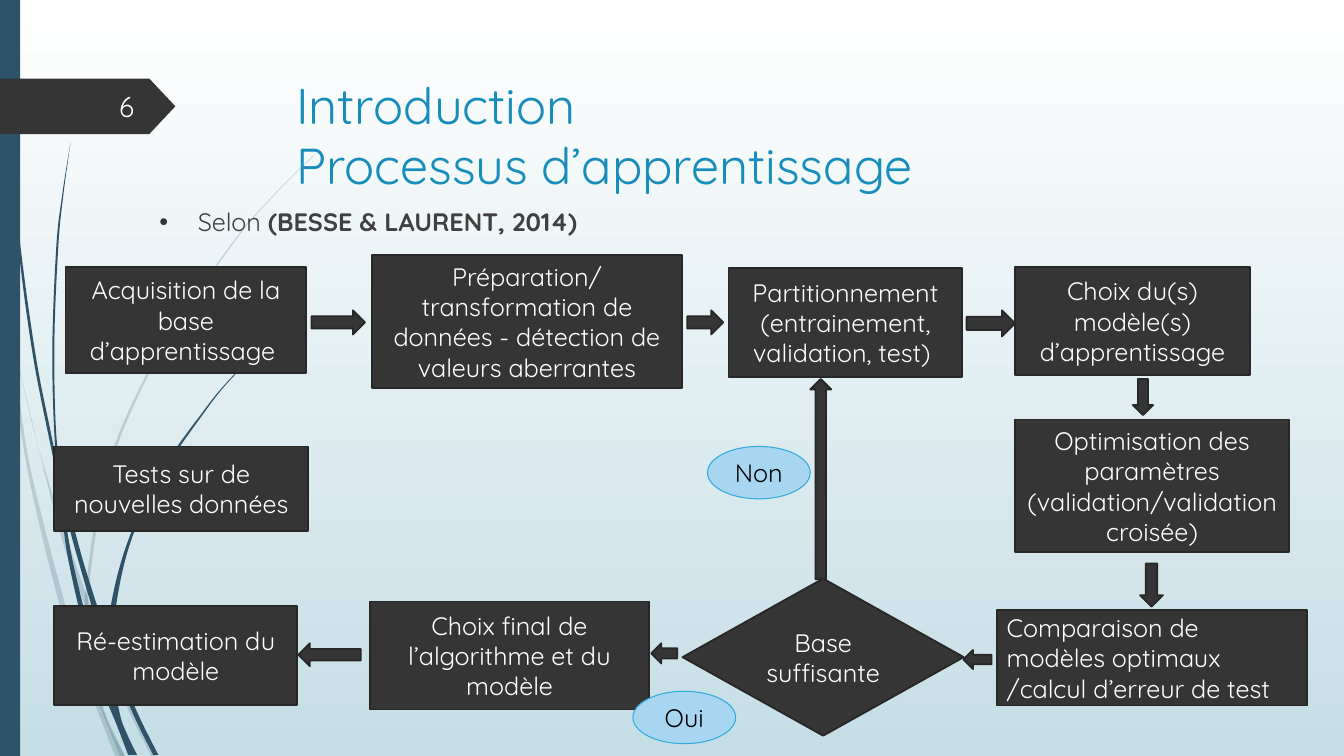
from dataclasses import dataclass

from lxml import etree
from pptx import Presentation
from pptx import util as u
from pptx.dml.color import RGBColor
from pptx.enum import shapes, text
from pptx.oxml.ns import qn

FONT = "Quicksand"
WHITE = RGBColor(0xFF, 0xFF, 0xFF)
BLACK = RGBColor(0, 0, 0)
SKY = RGBColor(0xC5, 0xDE, 0xE5)
NAVY = RGBColor(0x2E, 0x53, 0x69)
CHARCOAL = RGBColor(0x35, 0x35, 0x35)
EDGE = RGBColor(0x27, 0x27, 0x27)
TITLE_BLUE = RGBColor(0x17, 0x8D, 0xBB)
BODY_GREY = RGBColor(0x40, 0x40, 0x40)
LIGHT_BLUE = RGBColor(0xA8, 0xD5, 0xF0)
RIM_BLUE = RGBColor(0x2F, 0xAC, 0xDC)
G = shapes.MSO_SHAPE
AL = text.PP_ALIGN
Point = tuple[float, float]


@dataclass
class Node:
    left: float
    top: float
    width: float
    height: float
    label: str = ""
    kind: shapes.MSO_SHAPE = G.RECTANGLE
    align: text.PP_ALIGN = AL.CENTER
    fill: RGBColor = CHARCOAL
    line: RGBColor | None = EDGE
    line_pt: float = 1.25
    color: RGBColor = WHITE


@dataclass
class Strand:
    left_edge: list[Point]
    right_edge: list[Point]
    opacity: int = 100


def answer(left: float, top: float, label: str) -> Node:
    return Node(left, top, 2.59, 1.32, label, G.OVAL, fill=LIGHT_BLUE,
                line=RIM_BLUE, line_pt=0.75, color=BLACK)


STRANDS = [
    Strand([(0, 7.59), (.25, 8.74), (.71, 11.94), (1.65, 15.77), (2.34, 17.6), (2.9, 19.05)],
           [(0, 7.16), (.23, 8.18), (.43, 9.55), (.79, 11.91), (1.78, 15.72), (2.36, 17.35),
            (3.15, 19.05)], 20),
    Strand([(.36, 8.76), (1.47, 13.26), (2.13, 15.21), (3.12, 17.63), (3.81, 19.05)],
           [(.36, 8.76), (.92, 11.1), (1.57, 13.21), (2.34, 15.42), (3.23, 17.58),
            (3.94, 19.05)], 20),
    Strand([(7.92, 3.89), (6.81, 5), (5.79, 6.2), (4.01, 8.84), (2.72, 11.71), (2.16, 14.83),
            (2.21, 16.41), (2.36, 17.35), (3.02, 19.05)],
           [(7.92, 3.91), (6.81, 5.03), (5.82, 6.22), (4.06, 8.86), (2.79, 11.73),
            (2.24, 14.83), (2.31, 16.41), (2.67, 18.06), (3.15, 19.05)], 20),
    Strand([(.08, 0), (.18, 2.79), (.43, 5.92), (.84, 9.02), (1.45, 12.12), (1.73, 14.15),
            (2.36, 16.74), (2.97, 18.34), (3.23, 19.02)],
           [(.1, 0), (.2, 2.77), (.48, 5.89), (.91, 9.02), (1.4, 11.51), (1.83, 14.12),
            (2.49, 16.69), (3.1, 18.26), (3.45, 19.02)]),
    Strand([(1.78, 3.58), (1.57, 4.9), (1.42, 6.22), (1.32, 8.86), (1.4, 11.4), (1.63, 12.83),
            (2.24, 15.04), (2.69, 16.38), (3.35, 17.98), (3.86, 19.02)],
           [(1.78, 3.58), (1.6, 4.9), (1.47, 6.22), (1.37, 8.86), (1.47, 11.51), (1.92, 13.5),
            (2.36, 14.99), (2.87, 16.48), (3.45, 17.93), (3.99, 19.02)]),
    Strand([(6.6, 8.74), (5.87, 9.47), (5.18, 10.29), (3.96, 12.04), (3.1, 14), (2.69, 16.03),
            (2.79, 17.55), (3.38, 19.02)],
           [(6.63, 8.74), (5.87, 9.5), (5.21, 10.31), (4.01, 12.09), (3.18, 14.02),
            (2.82, 16.4), (3.07, 18.19), (3.45, 19.02)]),
]

FRAME = [
    Node(0, 0, 0.51, 19.05, fill=NAVY, line=None),
    Node(0, 1.98, 4.42, 1.4, kind=G.PENTAGON, line=None),
]

FLOW = [
    Node(1.65, 6.73, 6.07, 2.67, "Acquisition de la base d’apprentissage "),
    Node(9.37, 6.43, 7.82, 3.35,
         "Préparation/ transformation de données - détection de valeurs aberrantes"),
    Node(18.36, 6.76, 5.89, 2.74, "Partitionnement (entrainement, validation, test) "),
    Node(25.58, 6.73, 5.92, 2.72, "Choix du(s) modèle(s) d’apprentissage"),
    Node(25.58, 10.57, 6.91, 3.35, "Optimisation des paramètres (validation/validation croisée)"),
    Node(25.12, 15.37, 7.82, 2.41, "Comparaison de modèles optimaux /calcul d’erreur de test",
         align=AL.LEFT),
    Node(9.32, 15.16, 7.04, 2.72, "Choix final de l’algorithme et du modèle"),
    Node(1.37, 15.27, 6.12, 2.49, "Ré-estimation du modèle"),
    Node(1.37, 11.25, 6.4, 2.13, "Tests sur de nouvelles données"),
    Node(17.2, 14.58, 7.09, 3.96, "Base suffisante", G.FLOWCHART_DECISION),
    Node(17.32, 7.82, 0.91, 0.61, kind=G.RIGHT_ARROW),
    Node(7.85, 7.82, 1.35, 0.61, kind=G.RIGHT_ARROW),
    Node(24.36, 7.82, 1.22, 0.66, kind=G.RIGHT_ARROW),
    Node(28.55, 9.55, 0.51, 0.91, kind=G.DOWN_ARROW),
    Node(28.73, 14.2, 0.58, 1.09, kind=G.DOWN_ARROW),
    Node(24.28, 16.38, 0.71, 0.48, kind=G.LEFT_ARROW),
    Node(16.41, 16.21, 0.66, 0.51, kind=G.LEFT_ARROW),
    Node(7.52, 16.21, 1.57, 0.58, kind=G.LEFT_ARROW),
    Node(20.42, 9.55, 0.53, 5.05, kind=G.UP_ARROW),
    answer(17.83, 11.25, "Non"),
    answer(15.95, 17.42, "Oui"),
]


def smooth(points: list[Point], steps: int = 8) -> list[Point]:
    padded = [points[0], *points, points[-1]]
    curve = [points[0]]
    for a, b, c, d in zip(padded, padded[1:], padded[2:], padded[3:]):
        for k in range(1, steps + 1):
            t = k / steps
            curve.append(tuple(
                q + t * (r - p) / 2 + t**2 * (2 * p - 5 * q + 4 * r - v) / 2
                + t**3 * (3 * q - p - 3 * r + v) / 2
                for p, q, r, v in zip(a, b, c, d)))
    return curve


def draw_strand(s, strand: Strand) -> None:
    outline = smooth(strand.left_edge) + smooth(strand.right_edge)[::-1]
    start, *rest = [(u.Cm(x), u.Cm(y)) for x, y in outline]
    builder = s.shapes.build_freeform(*start)
    builder.add_line_segments(rest)
    sp = builder.convert_to_shape()
    sp.shadow.inherit = False
    sp.fill.solid()
    sp.fill.fore_color.rgb = NAVY
    sp.line.fill.background()
    if strand.opacity < 100:
        color = sp.element.find(".//" + qn("a:srgbClr"))
        etree.SubElement(color, qn("a:alpha"), val=str(strand.opacity * 1000))


def write(sp, content: str, size: float, color: RGBColor, align, anchor):
    tf = sp.text_frame
    tf.word_wrap = True
    tf.auto_size = text.MSO_AUTO_SIZE.NONE
    tf.vertical_anchor = anchor
    p = tf.paragraphs[0]
    p.text = content
    p.alignment = align
    p.font.size = u.Pt(size)
    for r in p.runs:
        style(r, size, color)
    return p


def style(r, size: float, color: RGBColor) -> None:
    r.font.name = FONT
    r.font.size = u.Pt(size)
    r.font.color.rgb = color


def draw_node(s, node: Node) -> None:
    box = map(u.Cm, (node.left, node.top, node.width, node.height))
    sp = s.shapes.add_shape(node.kind, *box)
    sp.shadow.inherit = False
    sp.fill.solid()
    sp.fill.fore_color.rgb = node.fill
    if node.line is None:
        sp.line.fill.background()
    else:
        sp.line.color.rgb = node.line
        sp.line.width = u.Pt(node.line_pt)
    if node.kind == G.PENTAGON:
        sp.adjustments[0] = 0.47
    if node.label:
        write(sp, node.label, 18, node.color, node.align, text.MSO_ANCHOR.MIDDLE)


def place(sp, left: float, top: float, width: float, height: float) -> None:
    sp.left, sp.top, sp.width, sp.height = map(u.Cm, (left, top, width, height))
    sp.element.getparent().append(sp.element)


def main() -> None:
    prs = Presentation()
    prs.slide_width, prs.slide_height = u.Cm(33.87), u.Cm(19.05)
    s = prs.slides.add_slide(prs.slide_layouts[1])
    bg = s.background.fill
    bg.gradient()
    bg.gradient_angle = 270
    for stop, color, position in zip(bg.gradient_stops, (WHITE, SKY), (0, 1)):
        stop.color.rgb = color
        stop.position = position

    for strand in STRANDS:
        draw_strand(s, strand)
    for node in FRAME:
        draw_node(s, node)

    title, body = s.shapes.title, s.placeholders[1]
    place(title, 7.21, 1.73, 24.77, 3.56)
    write(title, "Introduction\nProcessus d’apprentissage", 36, TITLE_BLUE, AL.LEFT,
          text.MSO_ANCHOR.TOP)
    place(body, 3.76, 5.08, 28.73, 13.21)
    p = write(body, "Selon", 18, BODY_GREY, AL.LEFT, text.MSO_ANCHOR.TOP)
    p.space_before = u.Pt(10)
    r = p.add_run()
    r.text = " (BESSE & LAURENT, 2014)"
    style(r, 18, BODY_GREY)
    r.font.bold = True
    pPr = p.runs[0].font and p._p.get_or_add_pPr()
    pPr.set("marL", str(u.Cm(0.97)))
    pPr.set("indent", str(-u.Cm(0.97)))
    bullet_color = etree.Element(qn("a:buClr"))
    etree.SubElement(bullet_color, qn("a:srgbClr"), val=str(CHARCOAL))
    pPr.find(qn("a:spcBef")).addnext(bullet_color)
    bullet = etree.Element(qn("a:buChar"), char="•")
    bullet_color.addnext(bullet)

    for node in FLOW:
        draw_node(s, node)
    number = s.shapes.add_textbox(*map(u.Cm, (1.47, 2.18, 2.16, 1.02)))
    write(number, "6", 20, WHITE, AL.RIGHT, text.MSO_ANCHOR.MIDDLE)
    prs.save("out.pptx")


if __name__ == "__main__":
    main()
